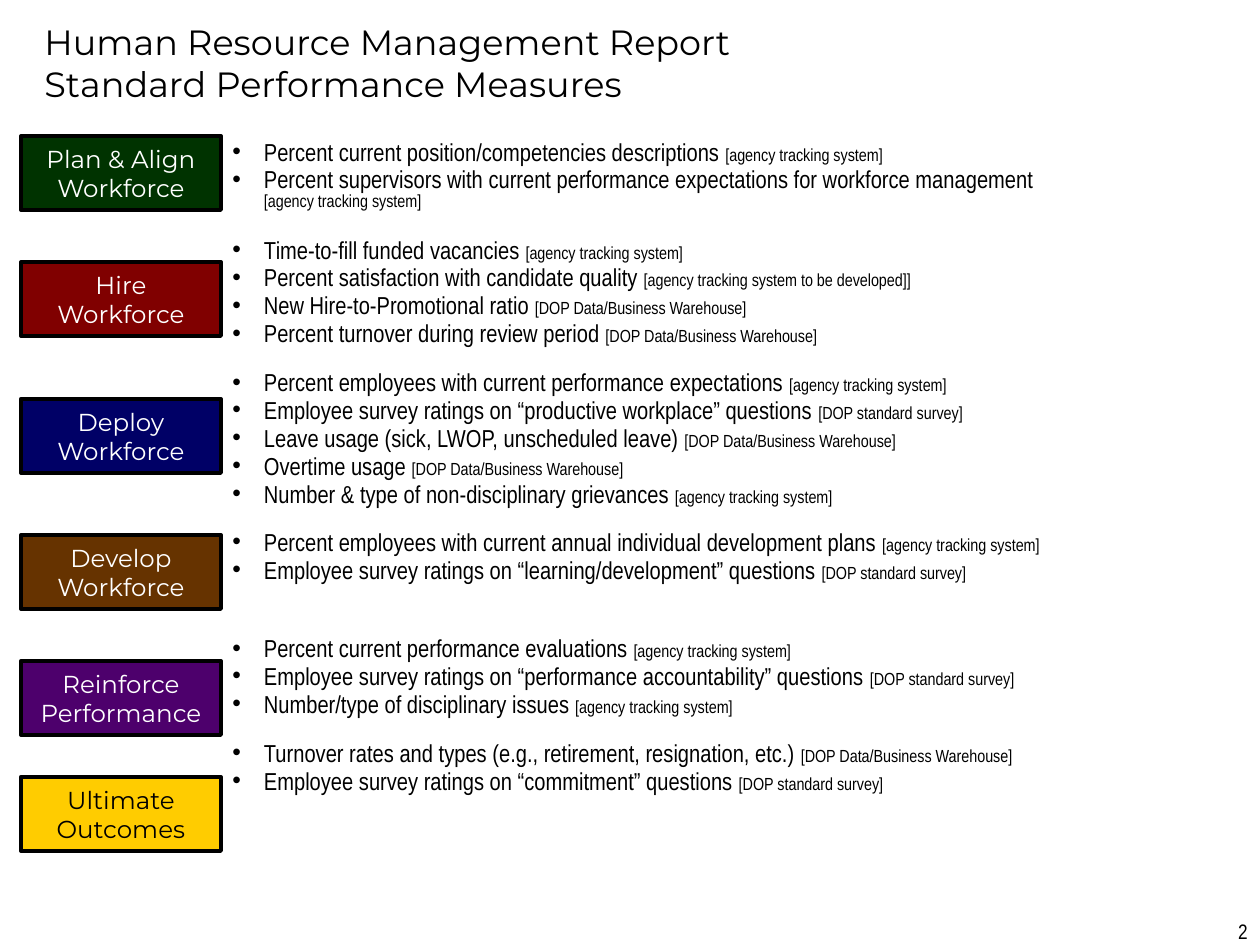
from lxml.etree import SubElement
from pptx import Presentation
from pptx.dml.color import RGBColor
from pptx.enum.shapes import MSO_SHAPE as Shape
from pptx.enum.text import MSO_ANCHOR as Anchor, PP_ALIGN as Align
from pptx.oxml.ns import qn
from pptx.util import Emu, Pt

PX = 914400 / 126
BLACK = RGBColor(0x00, 0x00, 0x00)
WHITE = RGBColor(0xFF, 0xFF, 0xFF)
GREEN = RGBColor(0x00, 0x33, 0x00)
RED = RGBColor(0x80, 0x00, 0x00)
BLUE = RGBColor(0x00, 0x00, 0x66)
BROWN = RGBColor(0x66, 0x33, 0x00)
PURPLE = RGBColor(0x4D, 0x00, 0x6C)
YELLOW = RGBColor(0xFF, 0xCC, 0x00)
HEADING, BODY = "Montserrat", "Arial Narrow"

AGENCY = "[agency tracking system]"
WAREHOUSE = "[DOP Data/Business Warehouse]"
SURVEY = "[DOP standard survey]"


def px(*lengths):
    return [Emu(round(n * PX)) for n in lengths]


def add_run(paragraph, text, size, font, color=BLACK):
    run = paragraph.add_run()
    run.text = text
    run.font.size = Pt(size)
    run.font.name = font
    run.font.color.rgb = color


prs = Presentation()
prs.slide_width, prs.slide_height = px(1260, 945)
slide = prs.slides.add_slide(prs.slide_layouts[6])

# Title
title = slide.shapes.add_textbox(*px(32, 0, 1187, 126)).text_frame
title.word_wrap = True
title.vertical_anchor = Anchor.MIDDLE
heading = title.paragraphs[0]
add_run(heading, "Human Resource Management Report", 20, HEADING)
heading.add_line_break()
add_run(heading, "Standard Performance Measures", 20, HEADING)

# Measures: space before each group in points, then (measure, data source)
groups = [
    (0, [("Percent current position/competencies descriptions ", AGENCY),
         ("Percent supervisors with current performance expectations "
          "for workforce management ", AGENCY)]),
    (17, [("Time-to-fill funded vacancies ", AGENCY),
          ("Percent satisfaction with candidate quality ",
           "[agency tracking system to be developed]]"),
          ("New Hire-to-Promotional ratio ", WAREHOUSE),
          ("Percent turnover during review period ", WAREHOUSE)]),
    (14.5, [("Percent employees with current performance expectations ", AGENCY),
            ("Employee survey ratings on “productive workplace” questions ", SURVEY),
            ("Leave usage (sick, LWOP, unscheduled leave) ", WAREHOUSE),
            ("Overtime usage ", WAREHOUSE),
            ("Number & type of non-disciplinary grievances ", AGENCY)]),
    (14, [("Percent employees with current annual individual development plans ", AGENCY),
          ("Employee survey ratings on “learning/development” questions ", SURVEY)]),
    (31.5, [("Percent current performance evaluations ", AGENCY),
            ("Employee survey ratings on “performance accountability” questions ", SURVEY),
            ("Number/type of disciplinary issues ", AGENCY)]),
    (14.5, [("Turnover rates and types (e.g., retirement, resignation, etc.) ", WAREHOUSE),
            ("Employee survey ratings on “commitment” questions ", SURVEY)]),
]
measures = slide.shapes.add_textbox(*px(220, 136, 840, 777)).text_frame
measures.word_wrap = True
line = measures.paragraphs[0]
for group_gap, items in groups:
    for i, (measure, source) in enumerate(items):
        if group_gap or i:
            line = measures.add_paragraph()
        line.line_spacing = 0.8
        line.space_before = Pt(2.5 if i else group_gap)
        props = line._p.get_or_add_pPr()
        props.set("marL", "228600")
        props.set("indent", "-228600")
        bullet_color = SubElement(props, qn("a:buClr"))
        SubElement(bullet_color, qn("a:srgbClr"), val=str(BLACK))
        SubElement(props, qn("a:buFont"), typeface="Arial")
        SubElement(props, qn("a:buChar"), char="•")
        add_run(line, measure, 14, BODY)
        add_run(line, source, 10, BODY)

# Stage boxes: top, label, fill, text colour, side inset
stages = [
    (136, "Plan & Align Workforce", GREEN, WHITE, 13),
    (262, "Hire Workforce", RED, WHITE, 13),
    (399, "Deploy Workforce", BLUE, WHITE, 13),
    (535, "Develop Workforce", BROWN, WHITE, 13),
    (661, "Reinforce Performance", PURPLE, WHITE, 6),
    (777, "Ultimate Outcomes", YELLOW, BLACK, 6),
]
for top, label, fill, text_color, inset in stages:
    stage = slide.shapes.add_shape(Shape.RECTANGLE, *px(21, top, 200, 74))
    stage.shadow.inherit = False
    stage.fill.solid()
    stage.fill.fore_color.rgb = fill
    stage.line.color.rgb = BLACK
    stage.line.width = Pt(2.25)
    frame = stage.text_frame
    frame.word_wrap = True
    frame.vertical_anchor = Anchor.MIDDLE
    frame.margin_left, frame.margin_right = px(inset, inset)
    frame.paragraphs[0].alignment = Align.CENTER
    add_run(frame.paragraphs[0], label, 14, HEADING, text_color)

# Page number
page = slide.shapes.add_textbox(*px(966, 912, 294, 66)).text_frame
page.word_wrap = True
page.paragraphs[0].alignment = Align.RIGHT
add_run(page.paragraphs[0], "2", 12, BODY)

prs.save("out.pptx")
